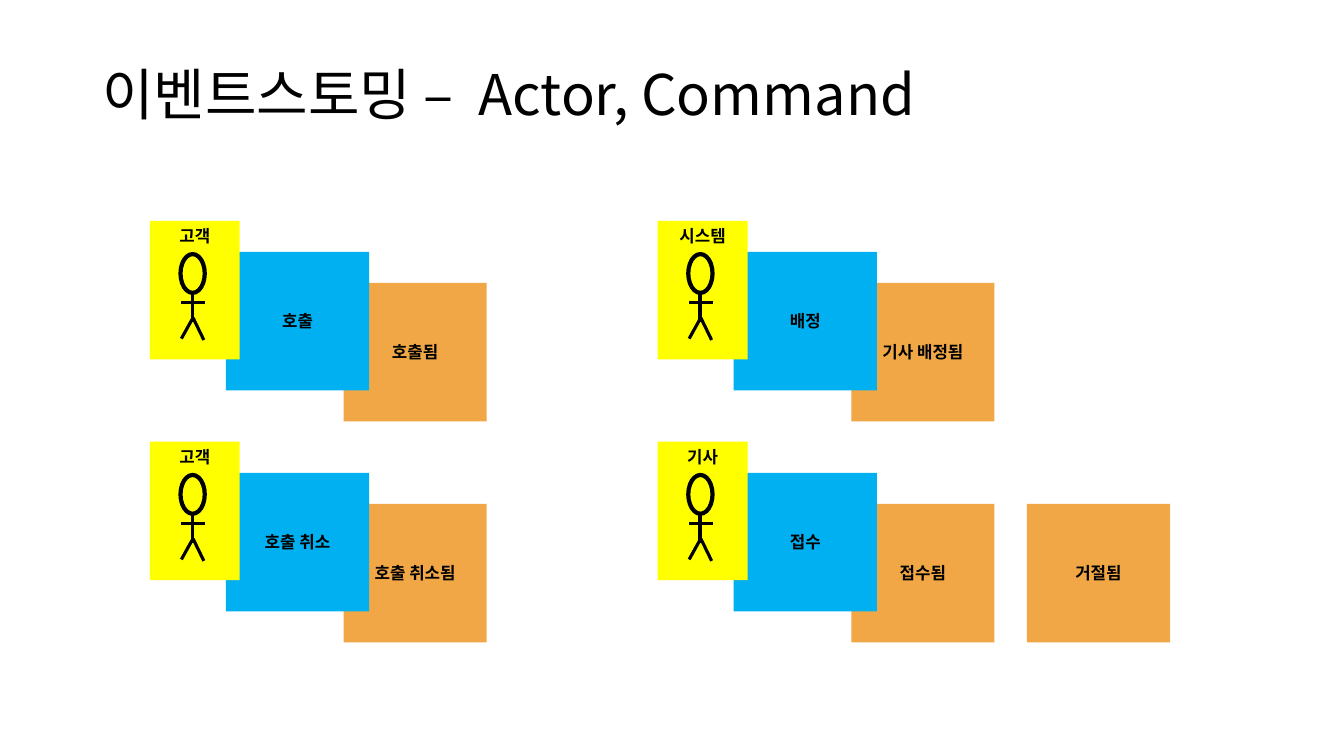
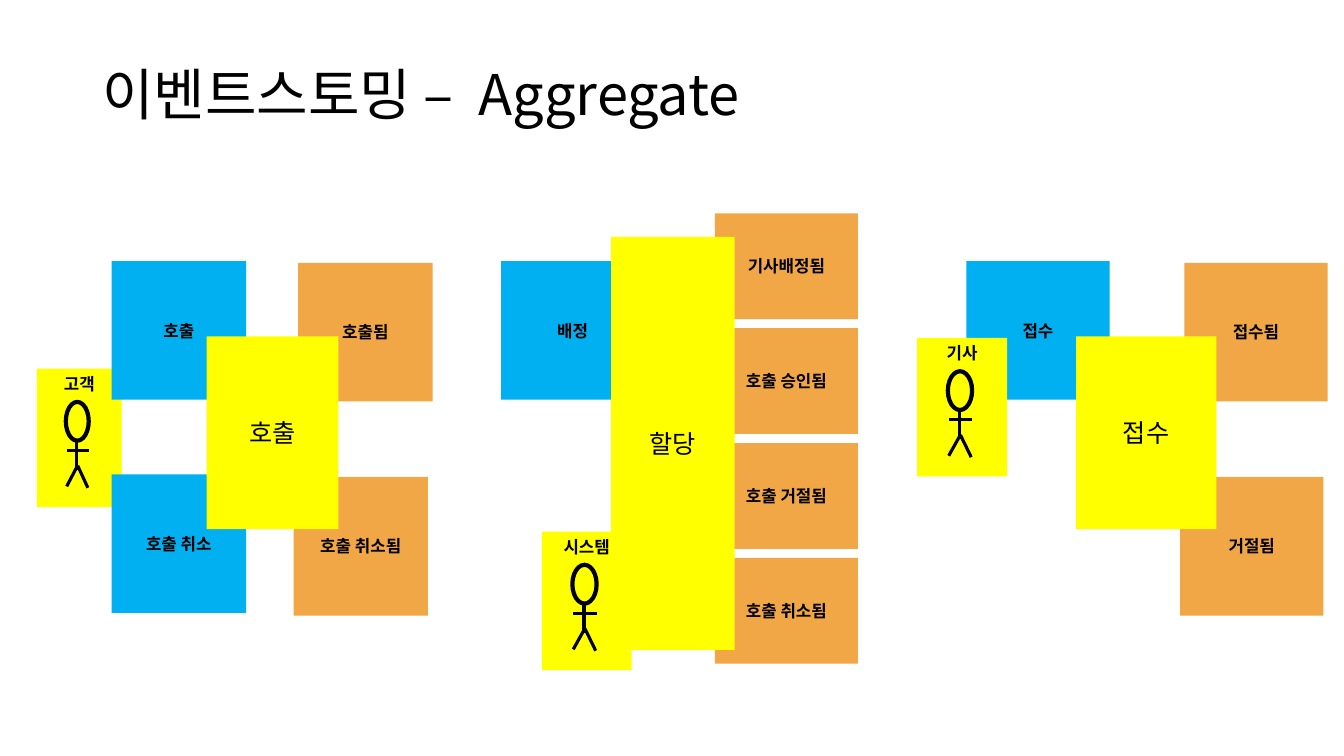
from pptx import Presentation
from pptx.dml.color import RGBColor
from pptx.enum.shapes import MSO_CONNECTOR, MSO_SHAPE
from pptx.enum.text import MSO_ANCHOR, PP_ALIGN
from pptx.oxml.ns import qn
from pptx.util import Inches, Pt
from lxml.etree import SubElement

FONT = "Noto Sans CJK KR"
INK = "000000"
EVENT = "F1A746"
COMMAND = "00B0F0"
YELLOW = "FFFF00"
COLUMNS = 160
CARD_WIDTH, CARD_HEIGHT = 17.05, 16.5
ACTOR_WIDTH = 10.7
LIMBS = [
    (0.35, 0.59, 0.61, 0.59),
    (0.47, 0.51, 0.47, 0.73),
    (0.47, 0.71, 0.35, 0.85),
    (0.48, 0.7, 0.6, 0.86),
]

presentation = Presentation()
presentation.slide_width = Inches(13.33)
presentation.slide_height = Inches(7.5)
cell = presentation.slide_width / COLUMNS


def add_card(shapes, text, fill, left, top, width=CARD_WIDTH, height=CARD_HEIGHT,
             size=12, bold=True, anchor=MSO_ANCHOR.MIDDLE):
    box = [round(value * cell) for value in (left, top, width, height)]
    shape = shapes.add_shape(MSO_SHAPE.RECTANGLE, *box)
    shape.shadow.inherit = False
    shape.fill.solid()
    shape.fill.fore_color.rgb = RGBColor.from_string(fill)
    shape.line.fill.background()
    shape.text_frame.text = text
    shape.text_frame.vertical_anchor = anchor
    paragraph = shape.text_frame.paragraphs[0]
    paragraph.alignment = PP_ALIGN.CENTER
    font = paragraph.runs[0].font
    font.name, font.size, font.bold = FONT, Pt(size), bold
    font.color.rgb = RGBColor.from_string(INK)


def add_actor(slide, text, left, top, width=ACTOR_WIDTH):
    shapes = slide.shapes.add_group_shape().shapes
    add_card(shapes, text, YELLOW, left, top, width, anchor=MSO_ANCHOR.TOP)
    across, down = width * cell, CARD_HEIGHT * cell
    x, y = left * cell, top * cell
    head = shapes.add_shape(MSO_SHAPE.OVAL, round(x + 0.34 * across), round(y + 0.24 * down),
                            round(0.27 * across), round(0.28 * down))
    head.shadow.inherit = False
    head.fill.background()
    head.line.color.rgb = RGBColor.from_string(INK)
    head.line.width = Pt(3)
    for x1, y1, x2, y2 in LIMBS:
        limb = shapes.add_connector(
            MSO_CONNECTOR.STRAIGHT, round(x + x1 * across), round(y + y1 * down),
            round(x + x2 * across), round(y + y2 * down))
        limb.line.color.rgb = RGBColor.from_string(INK)
        limb.line.width = Pt(2.25)
        SubElement(limb._element.spPr, qn("a:effectLst"))


slides = []
for topic in ("Actor, Command", "Aggregate"):
    slide = presentation.slides.add_slide(presentation.slide_layouts[6])
    box = [round(value * cell) for value in (11, 4.8, 138, 13.5)]
    title = slide.shapes.add_textbox(*box)
    title.text_frame.word_wrap = True
    title.text_frame.vertical_anchor = MSO_ANCHOR.MIDDLE
    paragraph = title.text_frame.paragraphs[0]
    paragraph.line_spacing = 0.9
    for text, spacing in (("이벤트스토밍 –", 0), (" ", 900), (topic, 0)):
        run = paragraph.add_run()
        run.text = text
        run.font.name, run.font.size = FONT, Pt(40)
        run.font.color.rgb = RGBColor.from_string(INK)
        run._r.get_or_add_rPr().set("spc", str(spacing))
    slides.append(slide)

command_slide, aggregate_slide = slides

flows = [
    (0, 0, "고객", "호출", "호출됨"),
    (0, 1, "고객", "호출 취소", "호출 취소됨"),
    (1, 0, "시스템", "배정", "기사 배정됨"),
    (1, 1, "기사", "접수", "접수됨"),
]
for column, row, actor, command, event in flows:
    left, top = 17.85 + 60.45 * column, 26.3 + 26.3 * row
    add_card(command_slide.shapes, event, EVENT, left + 23.05, top + 7.4)
    add_card(command_slide.shapes, command, COMMAND, left + 9.05, top + 3.7)
    add_actor(command_slide, actor, left, top)
add_card(command_slide.shapes, "거절됨", EVENT, 122.25, 60)

shapes = aggregate_slide.shapes
upper_command, lower_command = 31.1, 56.5
upper_event, lower_event = 31.3, 56.8
aggregate_top, aggregate_height = 40.05, 22.95

add_actor(aggregate_slide, "고객", 4.4, 43.9, 10.1)
for text, fill, left, top in [
    ("호출됨", EVENT, 35.5, upper_event),
    ("호출 취소됨", EVENT, 34.95, lower_event),
    ("호출", COMMAND, 13.3, upper_command),
    ("호출 취소", COMMAND, 13.3, lower_command),
]:
    add_card(shapes, text, fill, left, top, 16)

add_card(shapes, "배정", COMMAND, 59.65, upper_command)
add_actor(aggregate_slide, "시스템", 64.5, 63.3)
for row, text in enumerate(["기사배정됨", "호출 승인됨", "호출 거절됨", "호출 취소됨"]):
    add_card(shapes, text, EVENT, 85.1, 25.4 + 13.68 * row, height=12.6)

add_card(shapes, "접수됨", EVENT, 141, upper_event)
add_card(shapes, "거절됨", EVENT, 140.5, lower_event)
add_card(shapes, "접수", COMMAND, 115.05, upper_command)
add_actor(aggregate_slide, "기사", 109.2, 40.25)

for text, left, top, width, height in [
    ("호출", 24.6, aggregate_top, 15.7, aggregate_height),
    ("할당", 72.75, 28.2, 14.7, 49.2),
    ("접수", 128.1, aggregate_top, 16.7, aggregate_height),
]:
    add_card(shapes, text, YELLOW, left, top, width, height, 18, False)

presentation.save("out.pptx")
